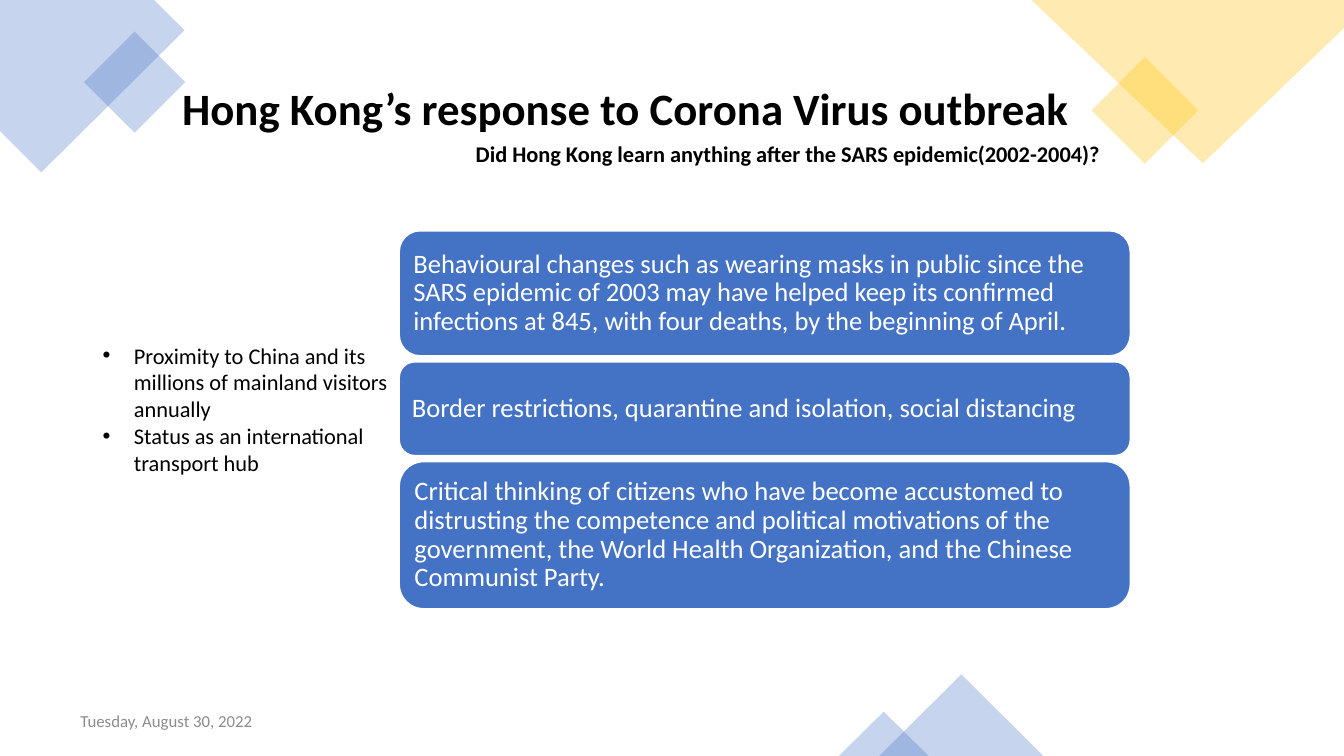
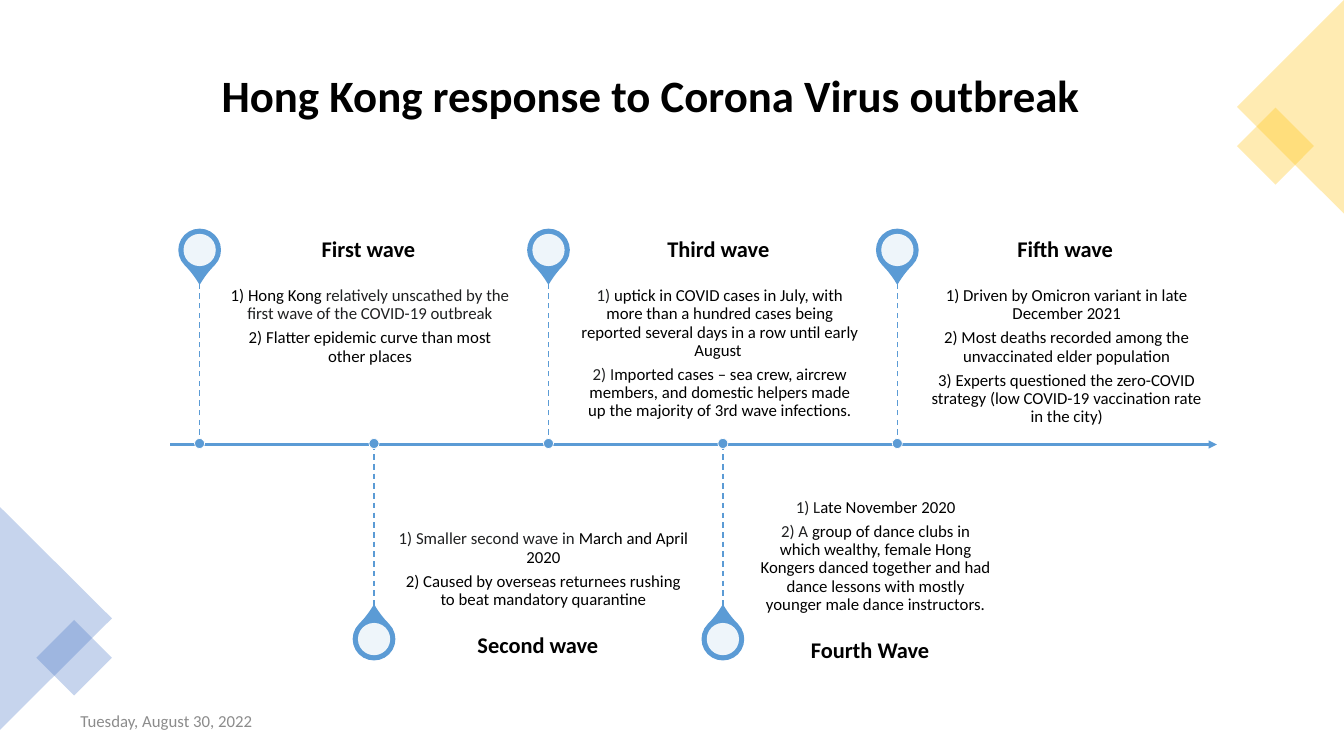
from pptx import Presentation
from pptx.dml.color import RGBColor
from pptx.enum.dml import MSO_LINE
from pptx.enum.shapes import MSO_CONNECTOR, MSO_SHAPE as Geo
from pptx.enum.text import MSO_ANCHOR as Anchor, PP_ALIGN as Align
from pptx.oxml.ns import qn
from pptx.util import Inches, Pt
from lxml.etree import SubElement


class Theme:
    font = "Calibri"
    blue, gold, sky = "4472C4", "FFC000", "5B9BD5"
    white, black, ink, grey = "FFFFFF", "000000", "202122", "8C8C8C"
    title, card, head, small = 32, 19, 16, 12
    veil = 30
    tight = 0.9


def paint(shape, color, alpha=100, edge=None, width=1):
    """Give a shape a flat fill, with alpha in percent, and an optional outline."""
    shape.shadow.inherit = False
    shape.fill.solid()
    shape.fill.fore_color.rgb = RGBColor.from_string(color)
    if alpha < 100:
        tint = shape._element.spPr.find(qn("a:solidFill"))[0]
        SubElement(tint, qn("a:alpha"), val=str(alpha * 1000))
    if edge:
        shape.line.color.rgb = RGBColor.from_string(edge)
        shape.line.width = Pt(width)
    else:
        shape.line.fill.background()


def write(shape, paras, size, color=Theme.black, bold=False, align=Align.LEFT,
          anchor=Anchor.MIDDLE, pad=(0.1, 0.05, 0.1, 0.05), lead=1.0, after=0):
    """Fill a shape with paragraphs, each a string or a list of (text, color) runs."""
    frame = shape.text_frame
    frame.word_wrap = True
    frame.vertical_anchor = anchor
    (frame.margin_left, frame.margin_top,
     frame.margin_right, frame.margin_bottom) = map(Inches, pad)
    for i, para in enumerate(paras):
        p = frame.add_paragraph() if i else frame.paragraphs[0]
        p.alignment, p.line_spacing, p.space_after = align, lead, Pt(after)
        runs = [(para, color)] if isinstance(para, str) else para
        for words, hue in runs:
            run = p.add_run()
            run.text = words
            run.font.name, run.font.size, run.font.bold = Theme.font, Pt(size), bold
            run.font.color.rgb = RGBColor.from_string(hue)


deck = Presentation()
deck.slide_width, deck.slide_height = Inches(13.33), Inches(7.5)

# Title, title box, corner polygons, corner shapes (geometry, box, turn, color)
pages = [
    ("Hong Kong’s response to Corona Virus outbreak", (0.42, 0.48, 11.57, 1.24),
     [([(1.53, 0), (0, 0), (0, 1.3), (0.41, 1.71), (1.83, 0.3)], Theme.blue),
      ([(13.33, 0), (10.23, 0), (11.93, 1.62), (13.33, 0.28)], Theme.gold)],
     [(Geo.RECTANGLE, (0.98, 0.46, 0.71, 0.71), 45, Theme.blue),
      (Geo.RECTANGLE, (10.98, 0.72, 0.75, 0.75), 45, Theme.gold),
      (Geo.ISOSCELES_TRIANGLE, (8.72, 6.69, 1.63, 0.81), 0, Theme.blue),
      (Geo.ISOSCELES_TRIANGLE, (8.32, 7.06, 0.89, 0.44), 0, Theme.blue)]),
    ("Hong Kong response to Corona Virus outbreak", (0.28, 0.35, 12.35, 1.24),
     [],
     [(Geo.RECTANGLE, (12.38, 1.18, 0.54, 0.54), 45, Theme.gold),
      (Geo.ISOSCELES_TRIANGLE, (11.74, 0.53, 2.12, 1.06), 270, Theme.gold),
      (Geo.ISOSCELES_TRIANGLE, (-0.55, 5.58, 2.21, 1.11), 90, Theme.blue),
      (Geo.RECTANGLE, (0.47, 6.26, 0.53, 0.53), 45, Theme.blue)]),
]

for title, place, polys, corners in pages:
    shapes = deck.slides.add_slide(deck.slide_layouts[6]).shapes
    for points, color in polys:
        dots = [(Inches(x), Inches(y)) for x, y in points]
        pen = shapes.build_freeform(*dots[0])
        pen.add_line_segments(dots[1:], close=True)
        paint(pen.convert_to_shape(), color, Theme.veil)
    for geo, box, turn, color in corners:
        corner = shapes.add_shape(geo, *map(Inches, box))
        corner.rotation = turn
        paint(corner, color, Theme.veil)
    write(shapes.add_textbox(*map(Inches, place)), [title], Theme.title,
          bold=True, align=Align.CENTER, lead=Theme.tight)
    write(shapes.add_textbox(*map(Inches, (0.7, 6.95, 3, 0.4))),
          ["Tuesday, August 30, 2022"], Theme.small, Theme.grey, after=6)

# Slide 1: measures taken
shapes = deck.slides[0].shapes
cards = [
    (1.24, "Behavioural changes such as wearing masks in public since the SARS epidemic "
     "of 2003 may have helped keep its confirmed infections at 845, with four deaths, "
     "by the beginning of April."),
    (0.93, "Border restrictions, quarantine and isolation, social distancing"),
    (1.46, "Critical thinking of citizens who have become accustomed to distrusting the "
     "competence and political motivations of the government, the World Health "
     "Organization, and the Chinese Communist Party."),
]
top, gap = 2.29, 0.06
for high, words in cards:
    card = shapes.add_shape(Geo.ROUNDED_RECTANGLE,
                            *map(Inches, (3.96, top, 7.25, high)))
    paint(card, Theme.blue, edge=Theme.white)
    write(card, [words], Theme.card, Theme.white, pad=(0.08,) * 4, lead=Theme.tight)
    top += high + gap

write(shapes.add_textbox(*map(Inches, (4.62, 1.34, 6.59, 0.37))),
      ["Did Hong Kong learn anything after the SARS epidemic(2002-2004)?"],
      Theme.head, bold=True, anchor=Anchor.TOP)

facts = shapes.add_textbox(*map(Inches, (0.92, 3.34, 3.07, 1.45)))
write(facts, ["Proximity to China and its millions of mainland visitors annually",
              "Status as an international transport hub"],
      Theme.head, anchor=Anchor.TOP)
for p in facts.text_frame.paragraphs:
    props = p._p.get_or_add_pPr()
    props.set("marL", str(Inches(0.31)))
    props.set("indent", str(-Inches(0.31)))
    SubElement(props, qn("a:buFont"), typeface="Arial")
    SubElement(props, qn("a:buChar"), char="•")

# Slide 2: timeline of waves (name, text offset from pin, text width, drop, notes)
shapes = deck.slides[1].shapes
black, ink = Theme.black, Theme.ink
waves = [
    ("First wave", 0.29, 2.88, 0, [
        [("1) Hong Kong ", black),
         ("relatively unscathed by the first wave of the COVID-19 outbreak", ink)],
        "2) Flatter epidemic curve than most other places"]),
    ("Second wave", 0.24, 2.88, 0, [
        [("1) Smaller second wave in ", ink), ("March and April 2020", black)],
        "2) Caused by overseas returnees rushing to beat mandatory quarantine"]),
    ("Third wave", 0.3, 2.88, 0, [
        [("1) ", ink),
         ("uptick in COVID cases in July, with more than a hundred cases being "
          "reported several days in a row until early August ", black)],
        [("2) I", ink),
         ("mported cases – sea crew, aircrew members, and domestic helpers made up "
          "the majority of 3rd wave infections.", black)]]),
    ("Fourth Wave", 0.36, 2.31, 0.05, [
        [("1) L", ink), ("ate November 2020", black)],
        [("2) A", ink),
         (" group of dance clubs in which wealthy, female Hong Kongers danced together "
          "and had dance lessons with mostly younger male dance instructors.", black)]]),
    ("Fifth wave", 0.29, 2.86, 0, [
        "1) Driven by Omicron variant in late December 2021",
        "2) Most deaths recorded among the unvaccinated elder population",
        "3) Experts questioned the zero-COVID strategy (low COVID-19 vaccination rate "
        "in the city)"]),
]
axis, first, step = 4.41, 1.98, 1.73
pins = [first + step * i for i in range(len(waves))]

lines = [(1.69, axis, 12.07, axis)]
lines += [(x, axis, x, 6.05 if i % 2 else 2.77) for i, x in enumerate(pins)]
for i, ends in enumerate(lines):
    line = shapes.add_connector(MSO_CONNECTOR.STRAIGHT, *map(Inches, ends))
    line.line.color.rgb = RGBColor.from_string(Theme.sky)
    line.line.width = Pt(1 if i else 1.5)
    props = line._element.spPr
    if i:
        line.line.dash_style = MSO_LINE.DASH
    else:
        SubElement(props.find(qn("a:ln")), qn("a:tailEnd"), type="triangle")
    SubElement(props, qn("a:effectLst"))

for i, (x, (name, shift, wide, drop, notes)) in enumerate(zip(pins, waves)):
    below = i % 2 == 1
    mid = 6.34 if below else 2.48
    rings = [
        (Geo.TEAR, mid, 0.41, Theme.sky, 100, Theme.sky, 1),
        (Geo.OVAL, mid, 0.32, Theme.white, 90, None, 0),
        (Geo.OVAL, axis - 0.01, 0.1, Theme.sky, 100, Theme.white, 0.5),
    ]
    for geo, y, size, color, alpha, edge, width in rings:
        ring = shapes.add_shape(geo, *map(Inches, (x - size / 2, y - size / 2, size, size)))
        paint(ring, color, alpha, edge, width)
        if geo == Geo.TEAR:
            ring.adjustments[0] = 1.15
            ring.rotation = 315 if below else 135
    left = x + shift
    body = shapes.add_textbox(
        *map(Inches, (left, (4.48 if below else 2.77) + drop, wide, 1.64)))
    write(body, notes, Theme.small, align=Align.CENTER,
          anchor=Anchor.BOTTOM if below else Anchor.TOP,
          pad=(0, 0.12, 0, 0.08) if below else (0, 0.08, 0.08, 0.12),
          lead=Theme.tight, after=4.2)
    head = shapes.add_textbox(
        *map(Inches, (left, (6.12 if below else 2.19) + drop, wide, 0.58)))
    write(head, [name], Theme.head, bold=True, align=Align.CENTER,
          pad=(0, 0, 0.11, 0), lead=Theme.tight)

deck.save("out.pptx")
